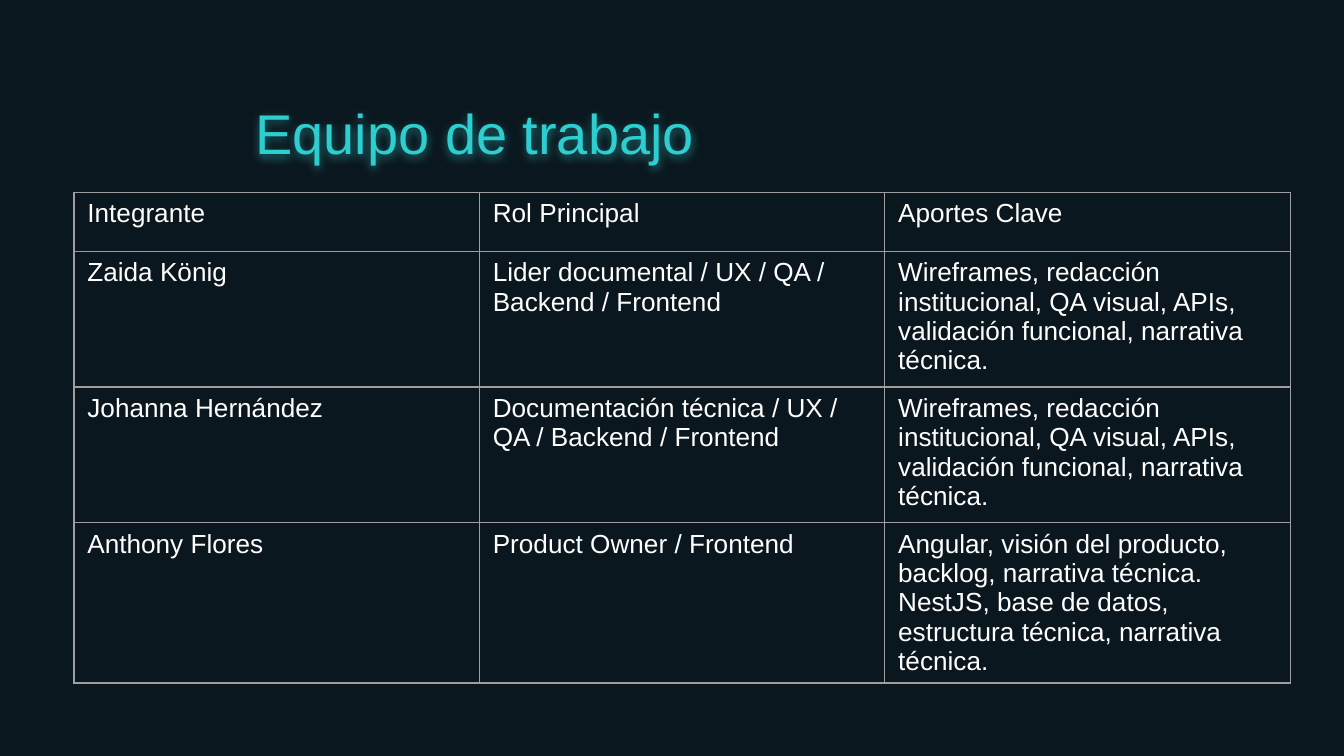
from lxml.etree import SubElement as Sub
from pptx import Presentation
from pptx.dml.color import RGBColor as Rgb
from pptx.enum.text import MSO_ANCHOR as Anchor, MSO_AUTO_SIZE as Auto, PP_ALIGN as Align
from pptx.oxml.ns import qn
from pptx.util import Inches, Pt

TEAL, WHITE, GREY, NIGHT = "2DCECF", "FFFFFF", "9E9E9E", "0B171E"
SKILLS = "Wireframes, redacción institucional, QA visual, APIs, validación funcional, narrativa técnica."
TEAM = [
    ("Integrante", "Rol Principal", "Aportes Clave"),
    ("Zaida König", "Lider documental / UX / QA / Backend / Frontend", SKILLS),
    ("Johanna Hernández", "Documentación técnica / UX / QA / Backend / Frontend", SKILLS),
    ("Anthony Flores", "Product Owner / Frontend",
     "Angular, visión del producto, backlog, narrativa técnica.\n"
     "NestJS, base de datos, estructura técnica, narrativa técnica."),
]


def color(code):
    return Rgb.from_string(code)


class Deck:
    font = "Arial"

    def __init__(self, wide):
        self.prs = Presentation()
        self.prs.slide_width = Inches(wide)
        self.prs.slide_height = Inches(wide * 9 / 16)
        self.slide = self.prs.slides.add_slide(self.prs.slide_layouts[5])
        fill = self.slide.background.fill
        fill.solid()
        fill.fore_color.rgb = color(NIGHT)

    def style(self, frame, size, code):
        for para in frame.paragraphs:
            para.alignment = Align.LEFT
            for run in para.runs:
                run.font.name, run.font.size = self.font, Pt(size)
                run.font.color.rgb = color(code)

    def glow(self, shape, code):
        shape.shadow.inherit = False
        effects = shape.element.spPr.find(qn("a:effectLst"))
        shade = Sub(effects, qn("a:outerShdw"), blurRad=str(Pt(4.5)), dist=str(Pt(1.5)),
                    dir="5400000", algn="bl", rotWithShape="0")
        tint = Sub(shade, qn("a:srgbClr"), val=code)
        Sub(tint, qn("a:alpha"), val="50000")

    def title(self, text, left, top, wide, high):
        shape = self.slide.shapes.title
        shape.left, shape.top = Inches(left), Inches(top)
        shape.width, shape.height = Inches(wide), Inches(high)
        frame = shape.text_frame
        frame.text = text
        frame.word_wrap, frame.auto_size = True, Auto.NONE
        frame.vertical_anchor = Anchor.TOP
        frame.margin_left = frame.margin_right = Inches(0.1)
        frame.margin_top = frame.margin_bottom = Inches(0.1)
        self.style(frame, 30, TEAL)
        self.glow(shape, TEAL)

    def border(self, cell):
        props = cell._tc.get_or_add_tcPr()
        for spot, side in enumerate(("lnL", "lnR", "lnT", "lnB")):
            line = Sub(props, qn(f"a:{side}"), w=str(Pt(0.75)))
            Sub(Sub(line, qn("a:solidFill")), qn("a:srgbClr"), val=GREY)
            props.insert(spot, line)

    def table(self, rows, left, top, wide, highs):
        count = len(rows[0])
        grid = self.slide.shapes.add_table(
            len(rows), count, Inches(left), Inches(top),
            Inches(wide), Inches(sum(highs))).table
        grid.first_row = grid.horz_banding = False
        for column in grid.columns:
            column.width = Inches(wide / count)
        for row, high, texts in zip(grid.rows, highs, rows):
            row.height = Inches(high)
            for cell, text in zip(row.cells, texts):
                cell.text_frame.text = text
                cell.fill.background()
                cell.margin_left = cell.margin_right = Inches(0.1)
                cell.margin_top = cell.margin_bottom = Inches(0.05)
                self.style(cell.text_frame, 14, WHITE)
                self.border(cell)


def main():
    deck = Deck(10)
    deck.title("Equipo de trabajo", 1.8, 0.63, 6.67, 0.63)
    deck.table(TEAM, 0.55, 1.43, 9.05, (0.44, 1.01, 1.01, 0.44))
    deck.prs.save("out.pptx")


if __name__ == "__main__":
    main()
